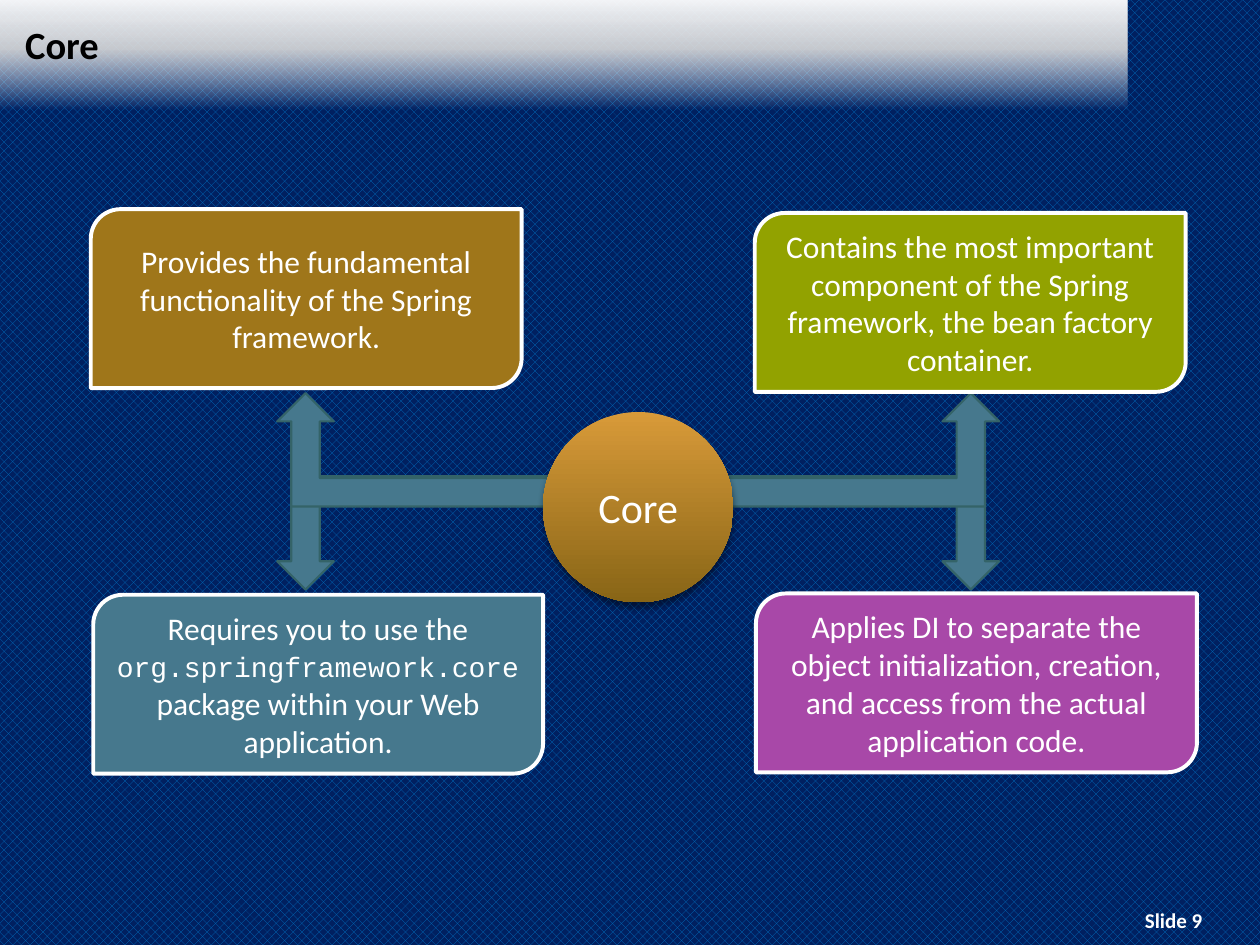
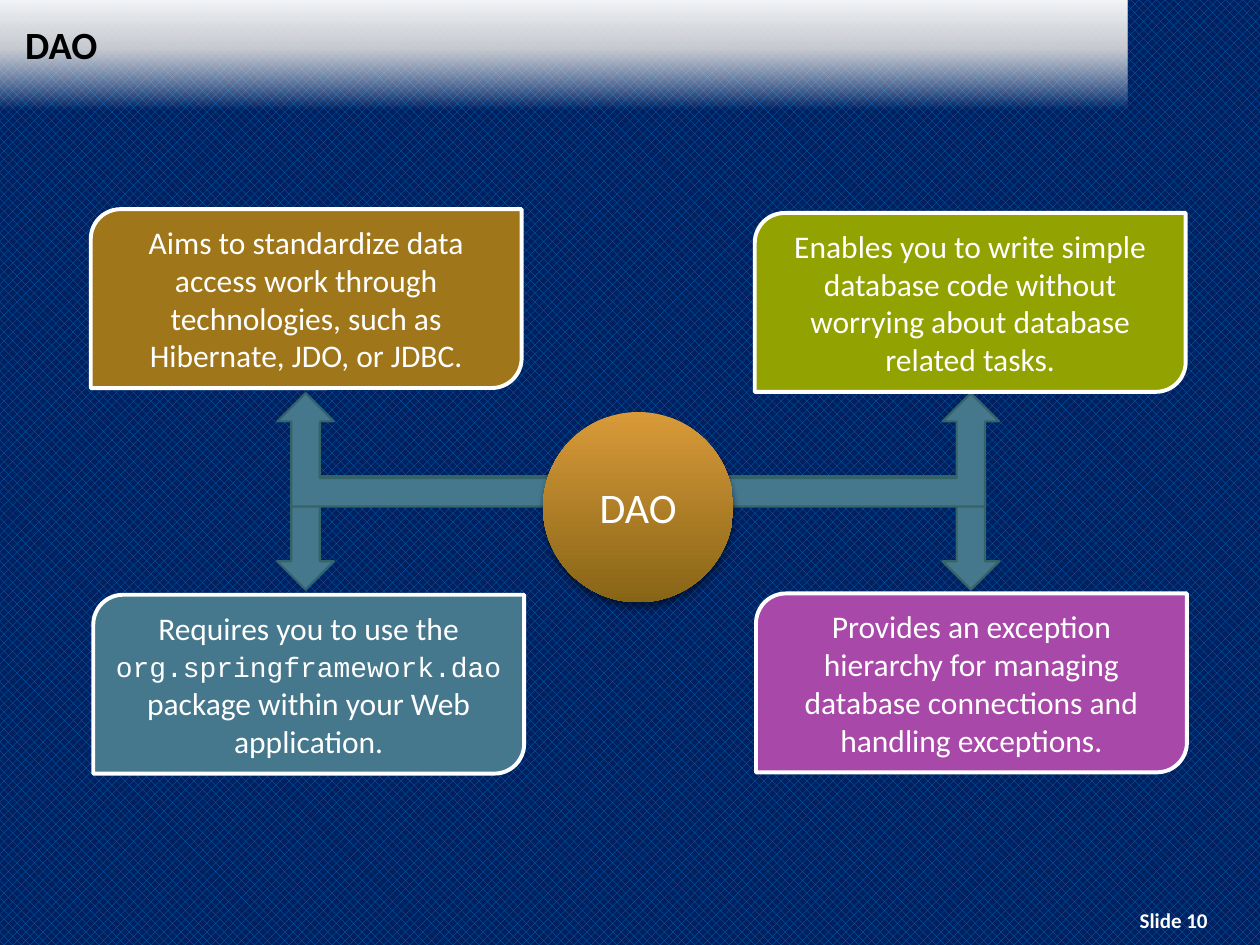
import pptx
import pptx.util
import pptx.dml.color
import pptx.enum.dml
import pptx.enum.shapes
import pptx.enum.text
import pptx.oxml
import pptx.oxml.ns

Pt = pptx.util.Pt
RGBColor = pptx.dml.color.RGBColor
SHAPE = pptx.enum.shapes.MSO_SHAPE
ALIGN = pptx.enum.text.PP_ALIGN
ANCHOR = pptx.enum.text.MSO_ANCHOR
qn = pptx.oxml.ns.qn
NSDECL = pptx.oxml.ns.nsdecls("a")

# Shared colours and fonts
WHITE = RGBColor(0xFF, 0xFF, 0xFF)
BLACK = RGBColor(0x00, 0x00, 0x00)
SILVER = RGBColor(0xD9, 0xD9, 0xD9)
NAVY = RGBColor(0x00, 0x20, 0x60)
BLUE = RGBColor(0x00, 0x70, 0xC0)
TEAL = RGBColor(0x46, 0x78, 0x8D)
DARK_TEAL = RGBColor(0x34, 0x63, 0x68)
BRONZE = RGBColor(0x9F, 0x76, 0x1A)
OLIVE = RGBColor(0x92, 0xA2, 0x00)
PURPLE = RGBColor(0xA8, 0x48, 0xA8)
AMBER = RGBColor(0xD8, 0x9A, 0x39)
BROWN = RGBColor(0x88, 0x65, 0x16)
BODY_FONT = "Calibri"
CODE_FONT = "Courier New"

# Shared geometry, in points
ARROW_SIZE = (154.8, 64.8)
ARROW_LEFT, ARROW_RIGHT = 158.4, 416.16
ARROW_LOW, ARROW_HIGH = 272.16, 224.64
HUB = (310.32, 235.44, 108.72, 108.72)
CARD_WIDTH, CARD_HEIGHT = 246.24, 102.24
CARD_STYLES = [  # left, top, colour
    (51.84, 119.52, BRONZE),
    (431.28, 121.68, OLIVE),
    (432, 339.12, PURPLE),
    (53.28, 339.84, TEAL),
]


class Deck:
    """Holds the shared style and the slide being built."""

    def __init__(self):
        self.prs = pptx.Presentation()
        self.prs.slide_width, self.prs.slide_height = Pt(720), Pt(540)
        backdrop = self.prs.slide_master.background.fill
        backdrop.patterned()
        backdrop.pattern = pptx.enum.dml.MSO_PATTERN.PERCENT_50
        backdrop.fore_color.rgb = BLUE
        backdrop.back_color.rgb = NAVY
        self.slide = None

    def new_slide(self, title, number):
        self.slide = self.prs.slides.add_slide(self.prs.slide_layouts[5])
        self.band()
        self.title(title)
        self.footer(f"Slide {number}")

    def band(self):
        band = self.shape(SHAPE.RECTANGLE, 0, -0.72, 644.4, 63.36)
        self.gradient(band, 90, [(0, WHITE, 0), (54, SILVER, 90), (100, WHITE, 95)])
        self.slide.shapes.element.insert(2, band.element)  # behind the title

    def title(self, text):
        heading = self.slide.shapes.title
        heading.left, heading.top = Pt(7.2), Pt(6.48)
        heading.width, heading.height = Pt(631.44), Pt(37.44)
        heading.text_frame.auto_size = pptx.enum.text.MSO_AUTO_SIZE.NONE
        self.set_text(heading, [text], 22, BLACK, bold=True, align=ALIGN.LEFT)

    def footer(self, text):
        footer = self.slide.shapes.add_textbox(Pt(628.56), Pt(514.8), Pt(84.24), Pt(21.6))
        self.set_text(footer, [text], 12, WHITE, bold=True, anchor=ANCHOR.TOP)

    def shape(self, kind, left, top, width, height, fill=None, line=None, weight=1):
        shape = self.slide.shapes.add_shape(kind, Pt(left), Pt(top), Pt(width), Pt(height))
        shape.shadow.inherit = False
        if fill is not None:
            shape.fill.solid()
            shape.fill.fore_color.rgb = fill
        if line is None:
            shape.line.fill.background()
        else:
            shape.line.color.rgb = line
            shape.line.width = Pt(weight)
        return shape

    def gradient(self, shape, angle, stops):
        """Fill with (position %, colour, opacity %) stops."""
        shape.fill.gradient()
        shape.fill.gradient_angle = angle
        stop_list = shape.element.spPr.find(qn("a:gradFill")).find(qn("a:gsLst"))
        for old_stop in list(stop_list):
            stop_list.remove(old_stop)
        for position, color, opacity in stops:
            stop_list.append(pptx.oxml.parse_xml(
                f'<a:gs {NSDECL} pos="{position * 1000}"><a:srgbClr val="{color}">'
                f'<a:alpha val="{opacity * 1000}"/></a:srgbClr></a:gs>'))

    def arrow(self, left, top, flip_h, flip_v):
        arrow = self.shape(SHAPE.BENT_UP_ARROW, left, top, *ARROW_SIZE, TEAL, DARK_TEAL, 1.25)
        frame = arrow.element.spPr.find(qn("a:xfrm"))
        if flip_h:
            frame.set("flipH", "1")
        if flip_v:
            frame.set("flipV", "1")

    def hub(self, text):
        hub = self.shape(SHAPE.OVAL, *HUB)
        self.gradient(hub, 270, [(0, AMBER, 100), (100, BROWN, 100)])
        hub.element.spPr.find(qn("a:effectLst")).append(pptx.oxml.parse_xml(
            f'<a:outerShdw {NSDECL} blurRad="{Pt(4)}" dist="{Pt(3)}" dir="5400000" '
            f'rotWithShape="0"><a:srgbClr val="{BLACK}"><a:alpha val="46000"/>'
            '</a:srgbClr></a:outerShdw>'))
        self.set_text(hub, [text], 24, WHITE)

    def card(self, left, top, color, parts, width):
        card = self.shape(SHAPE.ROUND_2_DIAG_RECTANGLE, left, top, width, CARD_HEIGHT,
                          color, WHITE, 2.25)
        self.set_text(card, parts, 18, WHITE)

    def set_text(self, shape, parts, size, color, bold=False,
                 align=ALIGN.CENTER, anchor=ANCHOR.MIDDLE):
        """Fill in one paragraph; every second part is code."""
        frame = shape.text_frame
        frame.word_wrap = True
        frame.vertical_anchor = anchor
        paragraph = frame.paragraphs[0]
        paragraph.alignment = align
        font = paragraph.font
        font.name, font.size, font.bold = BODY_FONT, Pt(size), bold
        font.color.rgb = color
        for index, part in enumerate(parts):
            run = paragraph.add_run()
            run.text = part
            if index % 2:
                run.font.name, run.font.size = CODE_FONT, Pt(16)

    def module_slide(self, number, name, cards):
        """Four cards, each (text parts, width), around a hub."""
        self.new_slide(name, number)
        for left in (ARROW_LEFT, ARROW_RIGHT):
            for top in (ARROW_LOW, ARROW_HIGH):
                self.arrow(left, top, left == ARROW_LEFT, top == ARROW_LOW)
        self.hub(name)
        for style, (parts, width) in zip(CARD_STYLES, cards):
            self.card(*style, parts, width)


def package_note(name):
    return ["Requires you to use the ", name, " package within your Web application."]


def main():
    deck = Deck()

    # Core module
    deck.module_slide(9, "Core", [
        (["Provides the fundamental functionality of the Spring framework."], CARD_WIDTH),
        (["Contains the most important component of the Spring framework, "
          "the bean factory container."], CARD_WIDTH),
        (["Applies DI to separate the object initialization, creation, "
          "and access from the actual application code."], 252),
        (package_note("org.springframework.core"), 257.04),
    ])

    # DAO module
    deck.module_slide(10, "DAO", [
        (["Aims to standardize data access work through technologies, "
          "such as Hibernate, JDO, or JDBC."], CARD_WIDTH),
        (["Enables you to write simple database code without worrying "
          "about database related tasks."], CARD_WIDTH),
        (["Provides an exception hierarchy for managing database connections "
          "and handling exceptions."], CARD_WIDTH),
        (package_note("org.springframework.dao"), CARD_WIDTH),
    ])

    deck.prs.save("out.pptx")


if __name__ == "__main__":
    main()
